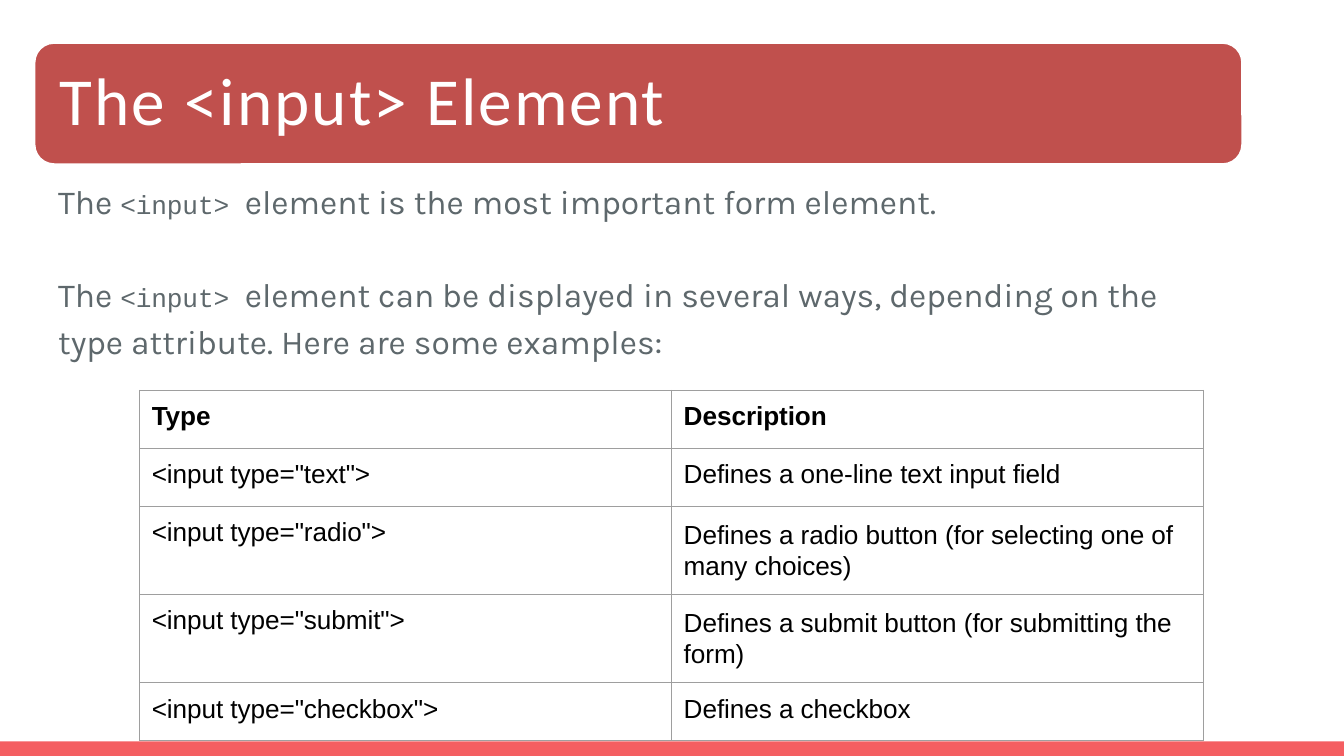
import pptx
import pptx.dml.color
import pptx.enum.shapes
import pptx.enum.text
import pptx.oxml
import pptx.oxml.ns
import pptx.util
from lxml import etree

Pt = pptx.util.Pt
MSO_SHAPE = pptx.enum.shapes.MSO_SHAPE
ANCHOR = pptx.enum.text.MSO_ANCHOR
ALIGN = pptx.enum.text.PP_ALIGN
qn = pptx.oxml.ns.qn

INTRO = [
    ("The ", "<input> ", "element is the most important form element."),
    ("The ", "<input> ", "element can be displayed in several ways, depending "
     "on the type attribute. Here are some examples:"),
]
ROWS = [
    ("Type", "Description"),
    ('<input type="text">', "Defines a one-line text input field"),
    ('<input type="radio">',
     "Defines a radio button (for selecting one of many choices)"),
    ('<input type="submit">',
     "Defines a submit button (for submitting the form)"),
    ('<input type="checkbox">', "Defines a checkbox"),
]
ROW_HEIGHTS = [31.1, 31.1, 47.2, 47.2, 31.1]


def color(hex_value):
    return pptx.dml.color.RGBColor.from_string(hex_value)


def style(r, name, size, hex_value, bold=False, spacing=0):
    r.font.name = name
    r.font.size = Pt(size)
    r.font.bold = bold
    r.font.color.rgb = color(hex_value)
    if spacing:
        r.font._element.set("spc", str(round(spacing * 100)))


def set_margins(frame, left, top, right, bottom):
    frame.margin_left, frame.margin_top = Pt(left), Pt(top)
    frame.margin_right, frame.margin_bottom = Pt(right), Pt(bottom)


def add_block(s, kind, box, fill):
    sp = s.shapes.add_shape(kind, *map(Pt, box))
    sp.shadow.inherit = False
    sp.fill.solid()
    sp.fill.fore_color.rgb = color(fill)
    sp.line.fill.background()
    return sp


def add_title(s, box):
    """Rounded banner with the title placeholder on top of it."""
    x, y, w, h = box
    banner = add_block(s, MSO_SHAPE.ROUNDED_RECTANGLE, box, "C0504D")
    banner.line.color.rgb = color("FFFFFF")
    banner.line.width = Pt(2)
    title = s.shapes.title
    banner._element.addnext(title._element)
    inset = 3.2
    title.left, title.top = Pt(x + inset), Pt(y + inset)
    title.width, title.height = Pt(w - 2 * inset), Pt(h - 2 * inset)
    tf = title.text_frame
    tf.text = "The <input> Element"
    tf.word_wrap = True
    tf.auto_size = pptx.enum.text.MSO_AUTO_SIZE.NONE
    tf.vertical_anchor = ANCHOR.MIDDLE
    set_margins(tf, 10.8, 10.8, 10.8, 10.8)
    p = tf.paragraphs[0]
    p.alignment = ALIGN.LEFT
    p.line_spacing = 0.9
    style(p.runs[0], "Calibri", 36, "FFFFFF", spacing=1.1)


def add_intro(s, box):
    tf = s.shapes.add_textbox(*map(Pt, box)).text_frame
    tf.word_wrap = True
    set_margins(tf, 1, 1, 0, 0)
    for i, parts in enumerate(INTRO):
        p = tf.add_paragraph() if i else tf.paragraphs[0]
        if i:
            p.space_before = Pt(25)
            p.line_spacing = 1.15
        for text in parts:
            r = p.add_run()
            r.text = text
            if text.startswith("<"):
                style(r, "Courier New", 14, "5E686C", spacing=-0.1)
            else:
                style(r, "Karla", 18, "5E686C")


def add_borders(cell, hex_value, width):
    tc_pr = cell._tc.get_or_add_tcPr()
    for i, side in enumerate(("lnL", "lnR", "lnT", "lnB")):
        ln = etree.Element(qn("a:" + side), w=str(Pt(width)))
        fill = etree.SubElement(ln, qn("a:solidFill"))
        etree.SubElement(fill, qn("a:srgbClr"), val=hex_value)
        tc_pr.insert(i, ln)


def add_type_table(s, box):
    table = s.shapes.add_table(len(ROWS), 2, *map(Pt, box)).table
    for column in table.columns:
        column.width = Pt(box[2] / 2)
    for i, (texts, height) in enumerate(zip(ROWS, ROW_HEIGHTS)):
        table.rows[i].height = Pt(height)
        for j, text in enumerate(texts):
            cell = table.cell(i, j)
            cell.fill.background()
            add_borders(cell, "9E9E9E", 0.75)
            two_lines = j == 1 and height > 40
            set_margins(cell, 6.5, 7 if two_lines else 6.2, 0, 0)
            cell.text_frame.text = text
            p = cell.text_frame.paragraphs[0]
            if two_lines:
                p.line_spacing = Pt(16.5)
            style(p.runs[0], "Arial", 14, "000000", bold=i == 0, spacing=-0.05)


def main():
    prs = pptx.Presentation()
    prs.slide_width, prs.slide_height = Pt(720), Pt(405)
    s = prs.slides.add_slide(prs.slide_layouts[5])
    add_block(s, MSO_SHAPE.RECTANGLE, (0, 397.2, 720, 7.8), "F45E61")
    add_intro(s, (30.2, 96, 598.5, 98))
    add_type_table(s, (74.8, 209.2, 570, sum(ROW_HEIGHTS)))
    add_title(s, (18, 22.5, 648, 66))
    prs.save("out.pptx")


if __name__ == "__main__":
    main()
